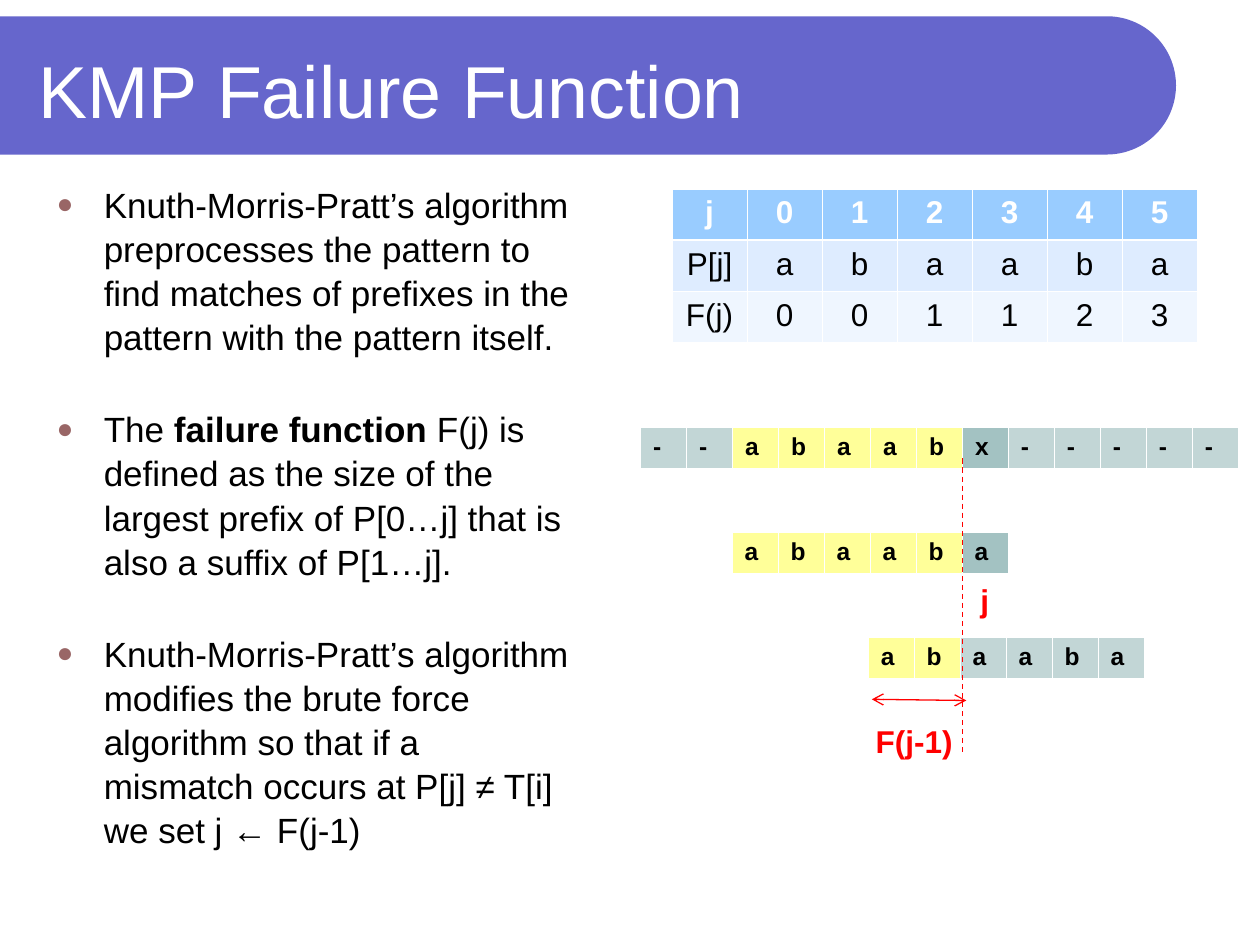
import math

from lxml import etree
from pptx import Presentation
from pptx import util as u
from pptx.dml.color import RGBColor
from pptx.enum import dml, text
from pptx.oxml import ns

Pt = u.Pt
WHITE = RGBColor(0xFF, 0xFF, 0xFF)
BLACK = RGBColor(0x00, 0x00, 0x00)
RED = RGBColor(0xFF, 0x00, 0x00)
PURPLE = RGBColor(0x66, 0x66, 0xCC)
BROWN = RGBColor(0x99, 0x66, 0x66)
YELLOW = RGBColor(0xFF, 0xFF, 0x99)
GREY = RGBColor(0xC2, 0xD6, 0xD6)
TEAL = RGBColor(0xA3, 0xC2, 0xC2)
SKY = RGBColor(0x99, 0xCC, 0xFF)
PALE = RGBColor(0xDE, 0xEC, 0xFF)
PALEST = RGBColor(0xEF, 0xF6, 0xFF)

CELL = 26.3
STRIP_FILLS = {"y": YELLOW, "g": GREY, "t": TEAL}


def add_xml(parent, tag, **attributes):
    return etree.SubElement(parent, ns.qn(tag), attributes)


class Deck:
    font = "Arial"
    thin, thick = 0.45, 1.47

    def __init__(self):
        self.presentation = Presentation()
        self.presentation.slide_width = Pt(720)
        self.presentation.slide_height = Pt(540)
        self.slide = self.presentation.slides.add_slide(self.presentation.slide_layouts[6])

    def run(self, paragraph, words, size, color, bold=False):
        run = paragraph.add_run()
        run.text = words
        run.font.name = self.font
        run.font.size = Pt(size)
        run.font.bold = bold
        run.font.color.rgb = color

    def band(self, top, width, height):
        radius = height / 2
        center = width - radius
        angles = [math.radians(a) for a in range(-90, 91, 3)]
        arc = [(center + radius * math.cos(a), top + radius + radius * math.sin(a)) for a in angles]
        outline = [(Pt(x), Pt(y)) for x, y in arc + [(0, top + height)]]
        builder = self.slide.shapes.build_freeform(0, Pt(top))
        builder.add_line_segments(outline, close=True)
        band = builder.convert_to_shape()
        band.shadow.inherit = False
        band.fill.solid()
        band.fill.fore_color.rgb = PURPLE
        band.line.fill.background()

    def frame(self, left, top, width, height, wrap=True):
        frame = self.slide.shapes.add_textbox(Pt(left), Pt(top), Pt(width), Pt(height)).text_frame
        frame.word_wrap = wrap
        return frame

    def title(self, words, *box):
        frame = self.frame(*box)
        frame.vertical_anchor = text.MSO_ANCHOR.MIDDLE
        self.run(frame.paragraphs[0], words, 42, WHITE)

    def label(self, words, *box):
        frame = self.frame(*box, wrap=False)
        frame.paragraphs[0].alignment = text.PP_ALIGN.CENTER
        self.run(frame.paragraphs[0], words, 18, RED, True)

    def bullets(self, points, *box):
        frame = self.frame(*box)
        for index, point in enumerate(points):
            paragraph = frame.add_paragraph() if index else frame.paragraphs[0]
            properties = paragraph._p.get_or_add_pPr()
            properties.set("marL", str(Pt(27)))
            properties.set("indent", str(-Pt(27)))
            add_xml(add_xml(properties, "a:buClr"), "a:srgbClr", val=str(BROWN))
            add_xml(properties, "a:buSzPct", val="80000")
            add_xml(properties, "a:buFont", typeface=self.font)
            add_xml(properties, "a:buChar", char="●")
            paragraph.line_spacing = 1.05
            if index:
                paragraph.space_before = Pt(27.5)
            for words, bold in point:
                self.run(paragraph, words, 20, BLACK, bold)

    def cell(self, cell, words, fill, size, color, bold, align, top, bottom):
        cell.fill.solid()
        cell.fill.fore_color.rgb = fill
        paragraph = cell.text_frame.paragraphs[0]
        paragraph.alignment = align
        self.run(paragraph, words, size, color, bold)
        properties = cell._tc.get_or_add_tcPr()
        sides = zip("LRTB", (self.thin, self.thin, top, bottom))
        for position, (side, width) in enumerate(sides):
            border = etree.Element(ns.qn(f"a:ln{side}"), w=str(Pt(width)))
            add_xml(add_xml(border, "a:solidFill"), "a:srgbClr", val=str(WHITE))
            properties.insert(position, border)

    def grid(self, rows, columns, left, top, column_width, row_height):
        table = self.slide.shapes.add_table(
            rows, columns, Pt(left), Pt(top), Pt(column_width * columns), Pt(row_height * rows)
        ).table
        table.first_row = table.horz_banding = False
        for column in table.columns:
            column.width = Pt(column_width)
        for row in table.rows:
            row.height = Pt(row_height)
        return table

    def strip(self, letters, fills, left, top):
        table = self.grid(1, len(letters), left, top, CELL, 24)
        for column, (letter, fill) in enumerate(zip(letters, fills)):
            self.cell(table.cell(0, column), letter, STRIP_FILLS[fill], 14, BLACK, True,
                      text.PP_ALIGN.LEFT, self.thin, self.thick)

    def failure_table(self, rows, left, top):
        table = self.grid(len(rows), len(rows[0]), left, top, 42.86, 29.3)
        for r, (values, fill) in enumerate(zip(rows, (SKY, PALE, PALEST))):
            header = r == 0
            for c, value in enumerate(values):
                self.cell(table.cell(r, c), value, fill, 18, WHITE if header else BLACK, header,
                          text.PP_ALIGN.CENTER, self.thick if r == 1 else self.thin,
                          self.thick if header else self.thin)

    def line(self, x1, y1, x2, y2, dashed=False, arrows=False):
        line = self.slide.shapes.add_connector(1, Pt(x1), Pt(y1), Pt(x2), Pt(y2))
        line.line.color.rgb = RED
        line.line.width = Pt(0.75)
        if dashed:
            line.line.dash_style = dml.MSO_LINE.DASH
        if arrows:
            for end in ("a:headEnd", "a:tailEnd"):
                add_xml(line.line._get_or_add_ln(), end, type="arrow")
        add_xml(line._element.spPr, "a:effectLst")


def main():
    deck = Deck()
    deck.band(9.3, 672, 79)
    deck.title("KMP Failure Function", 15.1, 15.1, 631.5, 72)
    deck.bullets([
        [("Knuth-Morris-Pratt’s algorithm preprocesses the pattern to find matches of "
          "prefixes in the pattern with the pattern itself.", False)],
        [("The ", False), ("failure function ", True),
         ("F(j) is defined as the size of the largest prefix of P[0…j] that is also a "
          "suffix of P[1…j].", False)],
        [("Knuth-Morris-Pratt’s algorithm modifies the brute force algorithm so that if a "
          "mismatch occurs at P[j] ≠ T[i] we set j ← F(j-1)", False)],
    ], 25.2, 100, 310.3, 414)
    deck.strip("--abaabx-----", "ggyyyyytggggg", 366, 244)
    deck.strip("abaaba", "yyyyyt", 418.3, 304)
    deck.strip("abaaba", "yygggg", 496.1, 364)
    deck.line(550.1, 262, 550.1, 430, dashed=True)
    deck.label("j", 553, 328.3, 19.4, 28.8)
    deck.label("F(j-1)", 493.2, 409, 58.3, 28.8)
    deck.line(498.2, 399.6, 552.2, 400.3, arrows=True)
    deck.failure_table([["j", *"012345"], ["P[j]", *"abaaba"], ["F(j)", *"001123"]], 384, 108)
    deck.presentation.save("out.pptx")


if __name__ == "__main__":
    main()
